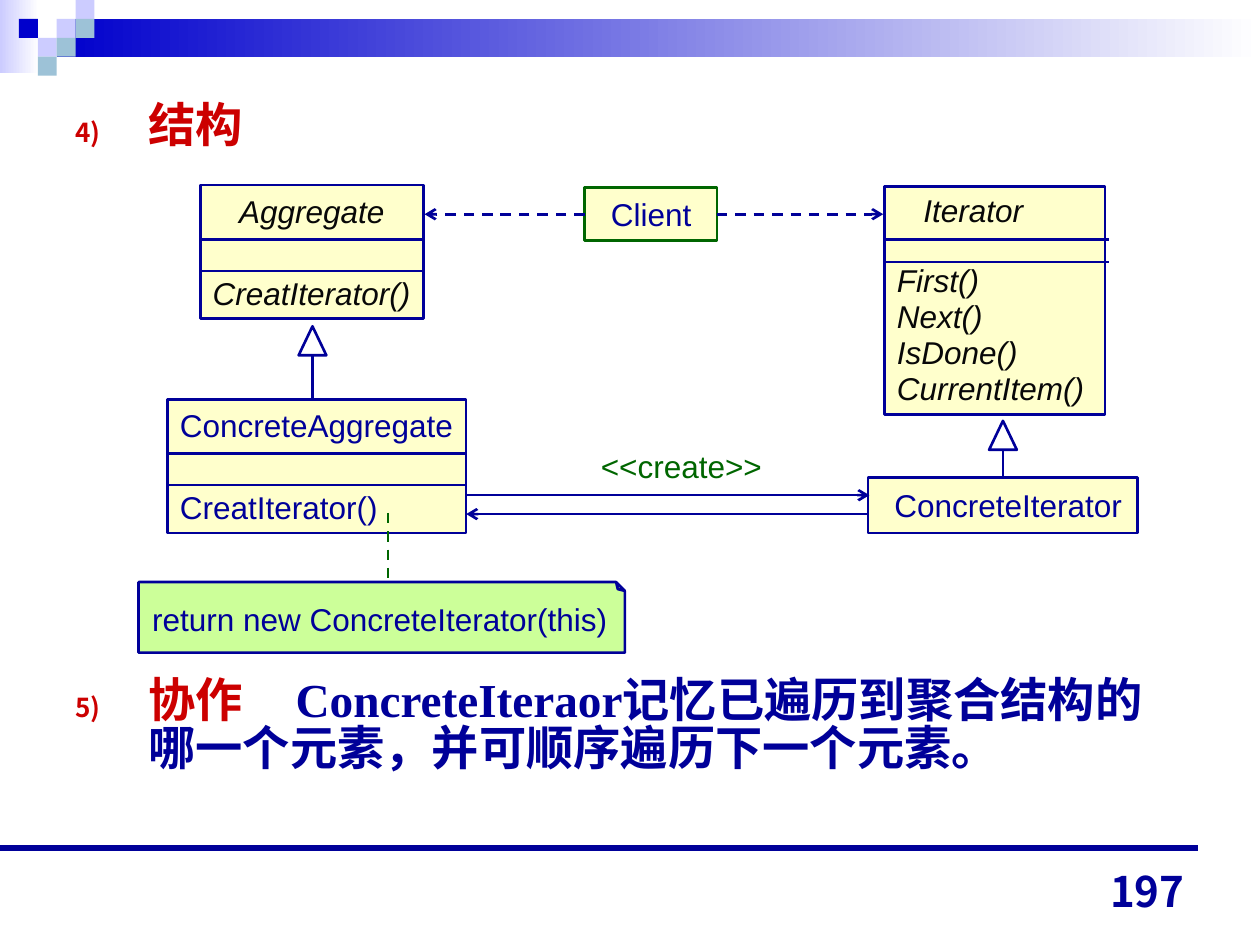
import pptx
import pptx.dml.color
import pptx.enum.dml
import pptx.enum.shapes
import pptx.enum.text
import pptx.oxml
import pptx.oxml.ns
import pptx.util

Inches = pptx.util.Inches
Pt = pptx.util.Pt
RGB = pptx.dml.color.RGBColor.from_string
Shape = pptx.enum.shapes.MSO_SHAPE
Anchor = pptx.enum.text.MSO_ANCHOR
qn = pptx.oxml.ns.qn
NS = pptx.oxml.ns.nsdecls("a")

COLORS = {
    "navy": "000099", "blue": "0000CC", "lilac": "CCCCFF", "teal": "9DC2D7",
    "white": "FFFFFF", "cream": "FFFFCC", "lime": "CCFF99", "green": "006600",
    "red": "CC0000", "black": "080808",
}

deck = pptx.Presentation()
deck.slide_width, deck.slide_height = Inches(10), Inches(7.5)
slide = deck.slides.add_slide(deck.slide_layouts[6])


def draw_box(left, top, width, height, fill, outline=None, kind=Shape.RECTANGLE):
    box = slide.shapes.add_shape(kind, Inches(left), Inches(top), Inches(width), Inches(height))
    box.shadow.inherit = False
    box.fill.solid()
    box.fill.fore_color.rgb = RGB(COLORS[fill])
    if outline:
        box.line.color.rgb = RGB(COLORS[outline])
        box.line.width = Pt(1.5)
    else:
        box.line.fill.background()
    return box


def draw_line(x1, y1, x2, y2, color="navy", width=1.5, dashed=False, arrow=False):
    line = slide.shapes.add_connector(
        pptx.enum.shapes.MSO_CONNECTOR.STRAIGHT, Inches(x1), Inches(y1), Inches(x2), Inches(y2))
    line.line.color.rgb = RGB(COLORS[color])
    line.line.width = Pt(width)
    if dashed:
        line.line.dash_style = pptx.enum.dml.MSO_LINE.DASH
    if arrow:
        line.line._get_or_add_ln().append(pptx.oxml.parse_xml(f'<a:tailEnd {NS} type="arrow"/>'))
    line._element.spPr.append(pptx.oxml.parse_xml(f"<a:effectLst {NS}/>"))
    return line


# Header band and mosaic
for left, top, width, height, end_color in [
    (0, 0, 0.31, 0.58, "lilac"),
    (0.45, 0.15, 9.55, 0.3, "blue"),
]:
    band = draw_box(left, top, width, height, "white")
    band.fill.gradient()
    band.fill.gradient_angle = 180
    for stop, color in zip(band.fill.gradient_stops, ("white", end_color)):
        stop.color.rgb = RGB(COLORS[color])

TILE = 0.15
for column, row, color in [
    (3, 1, "lilac"), (4, 0, "lilac"), (4, 1, "teal"), (2, 2, "lilac"),
    (1, 1, "blue"), (3, 2, "teal"), (2, 3, "teal"),
]:
    draw_box(column * TILE, row * TILE, TILE, TILE, color)

draw_line(0, 6.73, 9.51, 6.73, width=3.25)

# Numbered headings
for number, top, height, runs in [
    (4, 0.78, 0.6, [("结构", "red", 0)]),
    (5, 5.35, 1.1, [
        ("协作", "red", 0),
        (" ", "red", 24),
        ("ConcreteIteraor记忆已遍历到聚合结构的哪一个元素，并可顺序遍历下一个元素。", "navy", 0),
    ]),
]:
    heading = slide.shapes.add_textbox(Inches(0.5), Inches(top), Inches(9), Inches(height)).text_frame
    heading.word_wrap = True
    item = heading.paragraphs[0]
    item_props = item._p.get_or_add_pPr()
    item_props.set("marL", str(Inches(0.58)))
    item_props.set("indent", str(-Inches(0.58)))
    for bullet_xml in [
        f'<a:buClr {NS}><a:srgbClr val="{COLORS["red"]}"/></a:buClr>',
        f'<a:buSzPct {NS} val="55000"/>',
        f'<a:buFont {NS} typeface="Noto Sans CJK JP"/>',
        f'<a:buAutoNum {NS} type="arabicParenR" startAt="{number}"/>',
    ]:
        item_props.append(pptx.oxml.parse_xml(bullet_xml))
    item.line_spacing = 0.83
    for words, color, letter_gap in runs:
        run = item.add_run()
        run.text = words
        run.font.size = Pt(27)
        run.font.bold = True
        run.font.name = "Times New Roman"
        run.font.color.rgb = RGB(COLORS[color])
        run_props = run._r.get_or_add_rPr()
        run_props.set("lang", "zh-CN")
        run_props.find(qn("a:latin")).addnext(
            pptx.oxml.parse_xml(f'<a:ea {NS} typeface="Noto Sans CJK JP"/>'))
        if letter_gap:
            run_props.set("spc", str(letter_gap * 100))

# Class diagram boxes
note = draw_box(1.1, 4.62, 3.86, 0.56, "lime", "navy", Shape.FOLDED_CORNER)
note._element.spPr.find(qn("a:xfrm")).set("flipV", "1")
fold = note._element.spPr.find(qn("a:prstGeom"))
for adjustments in fold.findall(qn("a:avLst")):
    fold.remove(adjustments)
fold.append(pptx.oxml.parse_xml(
    f'<a:avLst {NS}><a:gd name="adj" fmla="val 12500"/></a:avLst>'))
concrete_aggregate = draw_box(1.33, 3.17, 2.37, 1.06, "cream", "navy")
aggregate = draw_box(1.59, 1.47, 1.77, 1.06, "cream", "navy")
iterator = draw_box(7.02, 1.48, 1.75, 1.81, "cream", "navy")
concrete_iterator = draw_box(6.89, 3.79, 2.14, 0.44, "cream", "navy")
client = draw_box(4.64, 1.49, 1.05, 0.42, "cream", "green")
note_label = slide.shapes.add_textbox(Inches(1.11), Inches(4.71), Inches(3.81), Inches(0.4))
create_label = slide.shapes.add_textbox(Inches(4.67), Inches(3.5), Inches(1.48), Inches(0.4))

# Compartment dividers
for left, right, heights in [
    (1.32, 3.69, (3.6, 3.85)), (1.58, 3.37, (1.9, 2.15)), (7.01, 8.8, (1.9, 2.08)),
]:
    for y in heights:
        draw_line(left, y, right, y)

# Relations
draw_line(3.08, 4.07, 3.08, 4.59, "green", dashed=True)
draw_line(3.71, 3.93, 6.9, 3.93, arrow=True)
draw_line(6.89, 4.08, 3.7, 4.08, arrow=True)
draw_line(5.69, 1.7, 7.01, 1.7, dashed=True, arrow=True).begin_connect(client, 3)
draw_line(4.64, 1.7, 3.37, 1.7, dashed=True, arrow=True).begin_connect(client, 1)
draw_line(2.48, 3.16, 2.48, 2.82)
draw_line(7.96, 3.79, 7.96, 3.57).begin_connect(concrete_iterator, 0)
for center, top in [(2.48, 2.59), (7.96, 3.34)]:
    draw_box(center - 0.11, top, 0.22, 0.23, "white", "navy", Shape.ISOSCELES_TRIANGLE)

# Diagram texts: each row is (words, space before in points, indent in inches)
for holder, color, italic, spacing, rows in [
    (note_label, "navy", False, 1, [("return new ConcreteIterator(this)", 0, 0)]),
    (create_label, "green", False, 1, [("<<create>>", 0, 0)]),
    (client, "navy", False, 1, [("Client", 0, 0.11)]),
    (concrete_iterator, "navy", False, 1, [("ConcreteIterator", 0, 0.11)]),
    (concrete_aggregate, "navy", False, 1,
     [("ConcreteAggregate", 0, 0), ("CreatIterator()", 25, 0)]),
    (aggregate, "black", True, 1, [("Aggregate", 0, 0.21), ("CreatIterator()", 25, 0)]),
    (iterator, "black", True, 0.95,
     [("Iterator", 0, 0.21), ("First()", 19.7, 0), ("Next()", 0, 0),
      ("IsDone()", 0, 0), ("CurrentItem()", 0, 0)]),
]:
    frame = holder.text_frame
    frame.word_wrap = True
    frame.margin_right = 0
    frame.vertical_anchor = Anchor.MIDDLE
    for index, (words, space, indent) in enumerate(rows):
        line = frame.add_paragraph() if index else frame.paragraphs[0]
        line.alignment = pptx.enum.text.PP_ALIGN.LEFT
        line.line_spacing = spacing
        if space:
            line.space_before = Pt(space)
        if indent:
            line._p.get_or_add_pPr().set("marL", str(Inches(indent)))
        run = line.add_run()
        run.text = words
        run.font.name = "Arial"
        run.font.size = Pt(18)
        run.font.italic = italic
        run.font.color.rgb = RGB(COLORS[color])

# Page number
page = slide.shapes.add_textbox(Inches(7.17), Inches(6.82), Inches(2.33), Inches(0.5)).text_frame
page.word_wrap = True
page.vertical_anchor = Anchor.BOTTOM
page.paragraphs[0].alignment = pptx.enum.text.PP_ALIGN.RIGHT
page_run = page.paragraphs[0].add_run()
page_run.text = "197"
page_run.font.name = "Noto Sans CJK JP"
page_run.font.size = Pt(24)
page_run.font.bold = True
page_run.font.color.rgb = RGB(COLORS["navy"])

deck.save("out.pptx")
